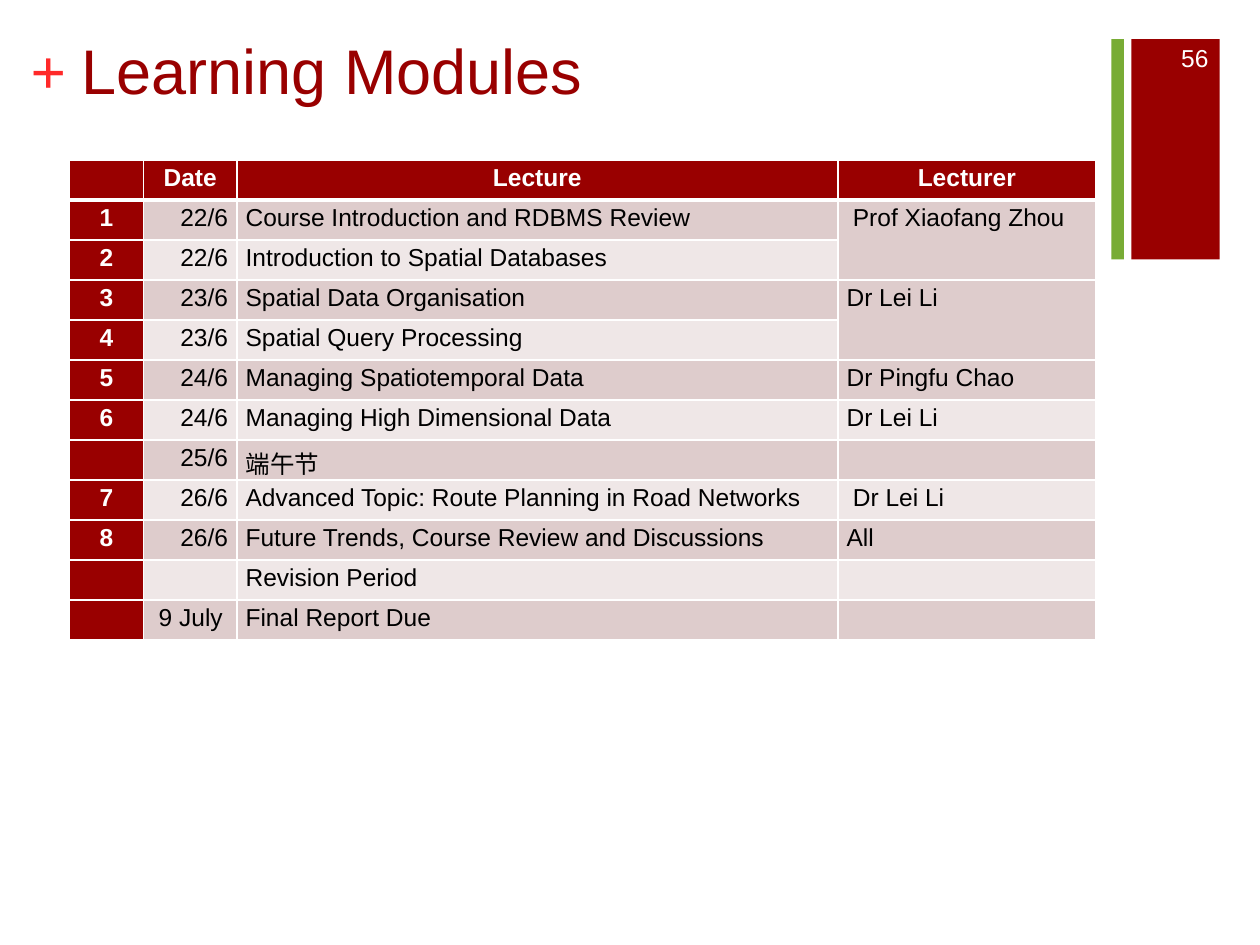
from lxml.etree import SubElement
from pptx import Presentation
from pptx.dml.color import RGBColor as RGB
from pptx.enum.shapes import MSO_SHAPE as SHAPE
from pptx.enum.text import MSO_ANCHOR as ANCHOR, PP_ALIGN as ALIGN
from pptx.oxml.ns import qn
from pptx.util import Inches, Pt

COLORS = {
    "red": "990000", "plus": "FF2929", "green": "78AC35",
    "white": "FFFFFF", "black": "000000", "odd": "DECCCC", "even": "EFE7E7",
}
HEAD = ("", "Date", "Lecture", "Lecturer")
ROWS = [
    ("1", "22/6", "Course Introduction and RDBMS Review", "Prof Xiaofang Zhou"),
    ("2", "22/6", "Introduction to Spatial Databases", ""),
    ("3", "23/6", "Spatial Data Organisation", "Dr Lei Li"),
    ("4", "23/6", "Spatial Query Processing", ""),
    ("5", "24/6", "Managing Spatiotemporal Data", "Dr Pingfu Chao"),
    ("6", "24/6", "Managing High Dimensional Data", "Dr Lei Li"),
    ("", "25/6", "端午节", ""),
    ("7", "26/6", "Advanced Topic: Route Planning in Road Networks", "Dr Lei Li"),
    ("8", "26/6", "Future Trends, Course Review and Discussions", "All"),
    ("", "", "Revision Period", ""),
    ("", "9 July", "Final Report Due", ""),
]
WIDTHS = (0.59, 0.74, 4.77, 2.05)
ALIGNS = (ALIGN.CENTER, ALIGN.RIGHT, ALIGN.LEFT, ALIGN.LEFT)
MERGED = (1, 3)  # first rows of the lecturers who span two rows
INDENTED = {(1, 3), (8, 3), (11, 1)}
LEFT_DATE = (11, 1)
BARS = [(8.98, 0.7, "red"), (8.82, 0.1, "green")]


def color(name):
    return RGB.from_string(COLORS[name])


def add_run(para, text, size, tint, bold=False, face="Arial"):
    run = para.add_run()
    run.text = text
    font = run.font
    font.name, font.size, font.bold = face, Pt(size), bold
    font.color.rgb = color(tint)


def add_label(slide, box, text, size, tint, inset=(0.1, 0.05), align=ALIGN.LEFT,
              anchor=ANCHOR.TOP, **style):
    frame = slide.shapes.add_textbox(*map(Inches, box)).text_frame
    frame.word_wrap = True
    frame.vertical_anchor = anchor
    frame.margin_left = frame.margin_right = Inches(inset[0])
    frame.margin_top = frame.margin_bottom = Inches(inset[1])
    para = frame.paragraphs[0]
    para.alignment = align
    add_run(para, text, size, tint, **style)


def set_borders(cell, widths):
    props = cell._tc.get_or_add_tcPr()
    for side, width in widths.items():
        line = SubElement(props, qn("a:ln" + side), w=str(Pt(width)))
        fill = SubElement(line, qn("a:solidFill"))
        SubElement(fill, qn("a:srgbClr"), val=COLORS["white"])


def fill_cell(cell, row, col, text):
    head = row == 0
    strong = head or col == 0
    set_borders(cell, {"L": 1, "R": 1, "T": 3 if row == 1 else 1, "B": 3 if head else 1})
    cell.fill.solid()
    cell.fill.fore_color.rgb = color("red" if strong else "odd" if row % 2 else "even")
    cell.margin_left = Inches(0.12 if (row, col) in INDENTED else 0.07)
    cell.margin_right = Inches(0.07)
    cell.margin_top = cell.margin_bottom = 0
    para = cell.text_frame.paragraphs[0]
    para.line_spacing = 1.15
    if head:
        para.alignment = ALIGN.CENTER
    else:
        para.alignment = ALIGN.LEFT if (row, col) == LEFT_DATE else ALIGNS[col]
    if text:
        add_run(para, text, 14, "white" if strong else "black", bold=strong)


def add_schedule(slide):
    data = [HEAD] + ROWS
    box = map(Inches, (0.55, 1.27, sum(WIDTHS), 3.81))
    table = slide.shapes.add_table(len(data), len(HEAD), *box).table
    for column, width in zip(table.columns, WIDTHS):
        column.width = Inches(width)
    for r, values in enumerate(data):
        table.rows[r].height = Inches(3.81 / len(data))
        for c, text in enumerate(values):
            fill_cell(table.cell(r, c), r, c, text)
    for r in MERGED:
        table.cell(r, 3).merge(table.cell(r + 1, 3))


def main():
    deck = Presentation()
    deck.slide_width, deck.slide_height = Inches(10), Inches(7.5)
    slide = deck.slides.add_slide(deck.slide_layouts[6])
    for left, width, tint in BARS:
        box = map(Inches, (left, 0.31, width, 1.75))
        bar = slide.shapes.add_shape(SHAPE.RECTANGLE, *box)
        bar.shadow.inherit = False
        bar.fill.solid()
        bar.fill.fore_color.rgb = color(tint)
        bar.line.fill.background()
    add_label(slide, (0.24, 0.25, 0.29, 0.61), "+", 36, "plus", inset=(0, 0),
              bold=True, face="Times New Roman")
    add_label(slide, (0.55, 0.2, 8.26, 1.22), "Learning Modules", 36, "red")
    add_label(slide, (9.08, 0.26, 0.61, 0.4), "56", 14, "white",
              align=ALIGN.RIGHT, anchor=ANCHOR.MIDDLE)
    add_schedule(slide)
    deck.save("out.pptx")


if __name__ == "__main__":
    main()
